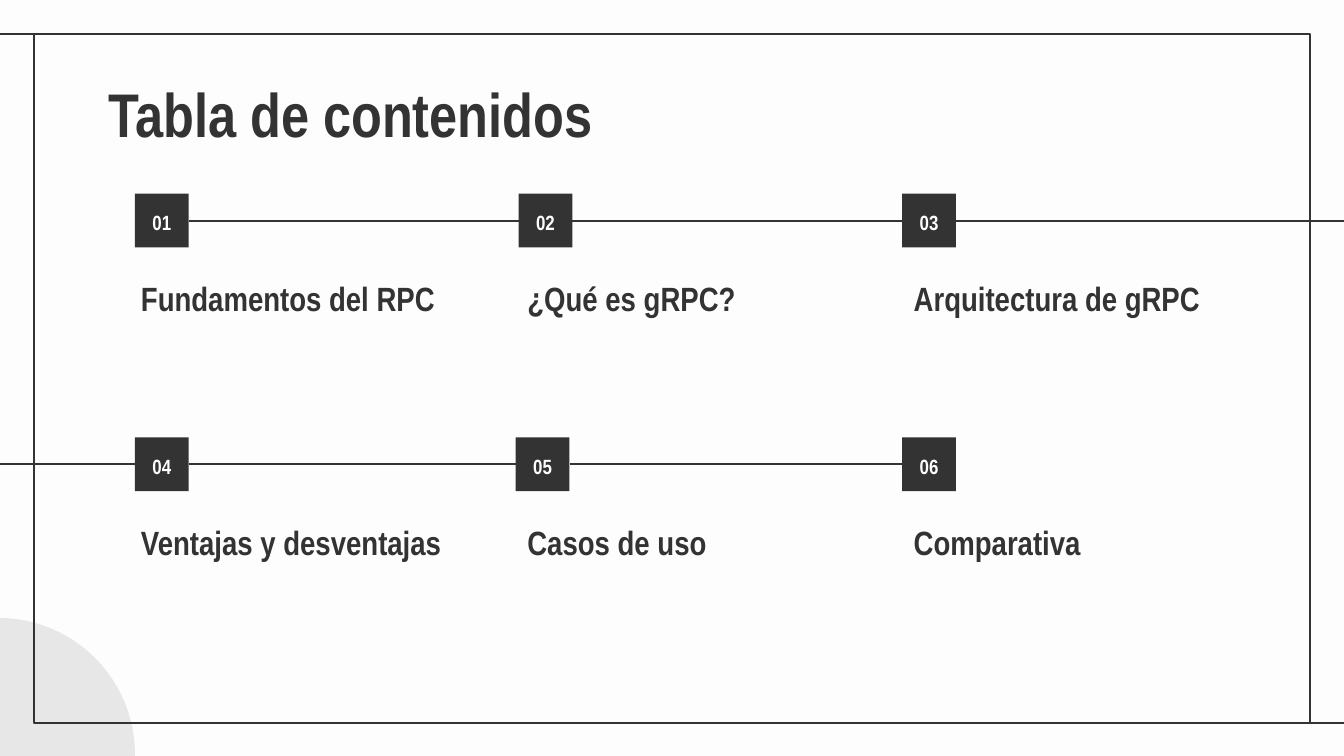
from dataclasses import dataclass

from lxml.etree import SubElement
from pptx import Presentation
from pptx.dml.color import RGBColor
from pptx.enum.shapes import MSO_CONNECTOR as Link, MSO_SHAPE as Form
from pptx.enum.text import MSO_ANCHOR as Anchor, MSO_AUTO_SIZE as Fit, PP_ALIGN as Align
from pptx.oxml.ns import qn
from pptx.shapes.autoshape import Shape
from pptx.shapes.connector import Connector
from pptx.slide import Slide
from pptx.util import Pt

DARK = RGBColor(0x33, 0x33, 0x33)
PALE = RGBColor(0xFD, 0xFD, 0xFD)
GREY = RGBColor(0xE8, 0xE7, 0xE7)
FONT = "Arial Narrow"
WIDE, HIGH = 960, 540
SIDE = 38.4  # side of a number square
TOPS = (138.4, 312.5)  # top of the squares in each row
LEFTS = (82.8, 358.8, 634.8)  # left of the labels in each column


@dataclass
class Topic:
    name: str
    row: int
    col: int
    left: float
    width: float = 242


TOPICS = [
    Topic("Fundamentos del RPC", 0, 0, 96.4),
    Topic("¿Qué es gRPC?", 0, 1, 370.4),
    Topic("Arquitectura de gRPC", 0, 2, 644.4),
    Topic("Ventajas y desventajas", 1, 0, 96.4, 258),
    Topic("Casos de uso", 1, 1, 368.4),
    Topic("Comparativa", 1, 2, 644.4),
]


def write(shape: Shape, text: str, size: float, color: RGBColor,
          anchor: Anchor, align: Align, gap: float = 1) -> None:
    frame = shape.text_frame
    frame.text = text
    frame.word_wrap = True
    frame.auto_size = Fit.NONE
    frame.vertical_anchor = anchor
    frame.margin_left = frame.margin_right = Pt(7.2)
    frame.margin_top = frame.margin_bottom = Pt(7.2)
    par = frame.paragraphs[0]
    par.alignment = align
    par.line_spacing = gap
    par.space_before = Pt(0)
    font = par.runs[0].font
    font.name, font.size, font.bold = FONT, Pt(size), True
    font.color.rgb = color


def draw(slide: Slide, form: Form, left: float, top: float,
         width: float, height: float, fill: RGBColor | None) -> Shape:
    shape = slide.shapes.add_shape(form, Pt(left), Pt(top), Pt(width), Pt(height))
    shape.shadow.inherit = False
    if fill is None:
        shape.fill.background()
        shape.line.color.rgb = DARK
        shape.line.width = Pt(1.5)
    else:
        shape.fill.solid()
        shape.fill.fore_color.rgb = fill
        shape.line.fill.background()
    return shape


def rule(slide: Slide, start: float, end: float, top: float) -> Connector:
    line = slide.shapes.add_connector(Link.STRAIGHT, Pt(start), Pt(top), Pt(end), Pt(top))
    line.line.color.rgb = DARK
    line.line.width = Pt(1.5)
    SubElement(line._element.spPr, qn("a:effectLst"))
    return line


def label(slide: Slide, topic: Topic) -> None:
    box = slide.shapes.add_textbox(Pt(LEFTS[topic.col]), Pt(TOPS[topic.row] + 55.8),
                                   Pt(topic.width), Pt(40.4))
    write(box, topic.name, 24, DARK, Anchor.BOTTOM, Align.LEFT, 1.15)
    props = box.text_frame.paragraphs[0]._p.get_or_add_pPr()
    props.set("marL", str(Pt(36)))
    props.set("indent", str(Pt(-25.2)))


def square(slide: Slide, num: int, topic: Topic) -> Shape:
    shape = draw(slide, Form.RECTANGLE, topic.left, TOPS[topic.row], SIDE, SIDE, DARK)
    write(shape, f"{num:02}", 14.7, PALE, Anchor.MIDDLE, Align.CENTER, 1.15)
    return shape


def main() -> None:
    deck = Presentation()
    deck.slide_width, deck.slide_height = Pt(WIDE), Pt(HIGH)
    slide = deck.slides.add_slide(deck.slide_layouts[5])
    slide.background.fill.solid()
    slide.background.fill.fore_color.rgb = PALE

    # Backdrop: corner disc and frame with its two tails
    draw(slide, Form.OVAL, -98.6, 441.4, 195, 195, GREY)
    draw(slide, Form.RECTANGLE, 24.4, 24.4, 911.5, 491.8, None)
    rule(slide, 0, 24.4, 24.4)
    rule(slide, 935.9, WIDE, 516.2)

    # Title
    title = slide.shapes.title
    title.left, title.top, title.width, title.height = Pt(70), Pt(46.8), Pt(808.6), Pt(60.5)
    write(title, "Tabla de contenidos", 44, DARK, Anchor.TOP, Align.LEFT)

    # Numbered topics
    tags = [square(slide, num, topic) for num, topic in enumerate(TOPICS, 1)]
    for topic in TOPICS:
        label(slide, topic)

    # Timeline between neighbours in a row, then out to the slide edges
    for here, left, right in zip(TOPICS, tags, tags[1:]):
        if here.col < 2:
            line = rule(slide, 0, WIDE, TOPS[here.row] + SIDE / 2)
            line.begin_connect(left, 3)
            line.end_connect(right, 1)
    rule(slide, 0, WIDE, TOPS[0] + SIDE / 2).begin_connect(tags[2], 3)
    rule(slide, 0, WIDE, TOPS[1] + SIDE / 2).end_connect(tags[3], 1)

    deck.save("out.pptx")


if __name__ == "__main__":
    main()
